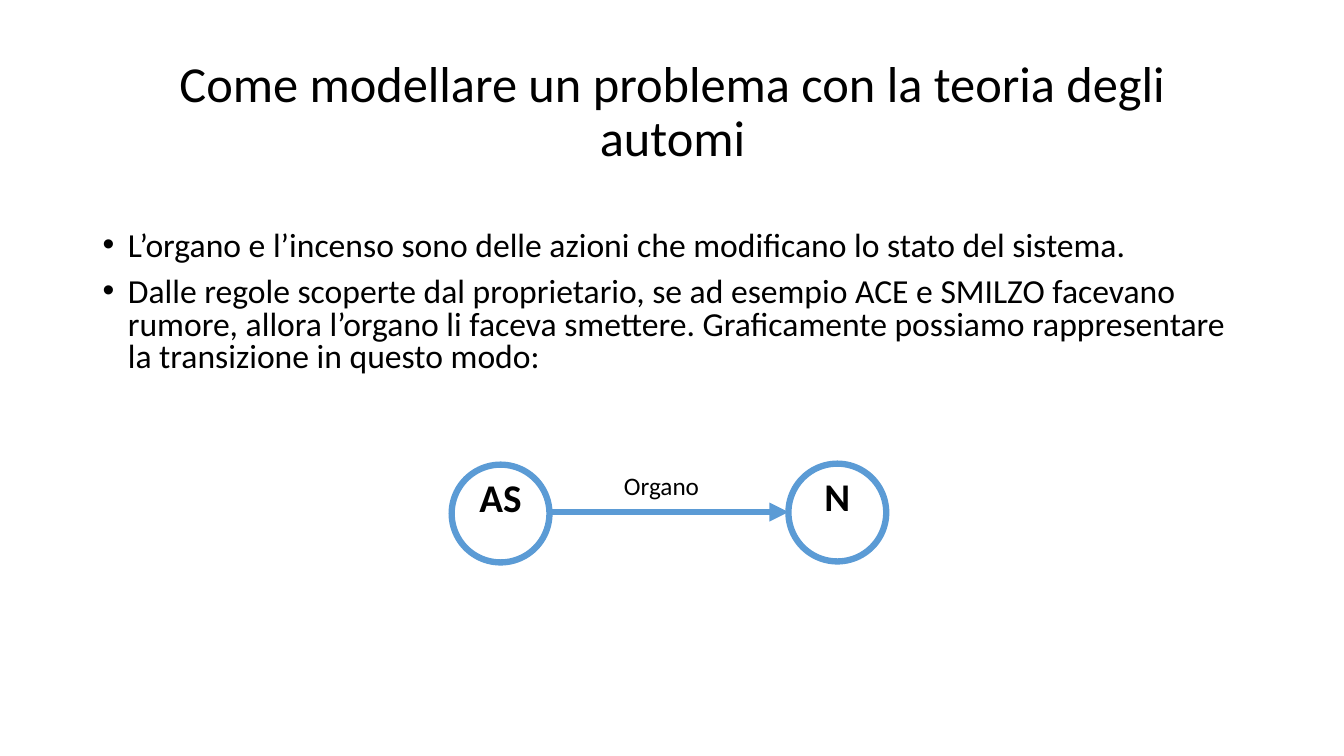
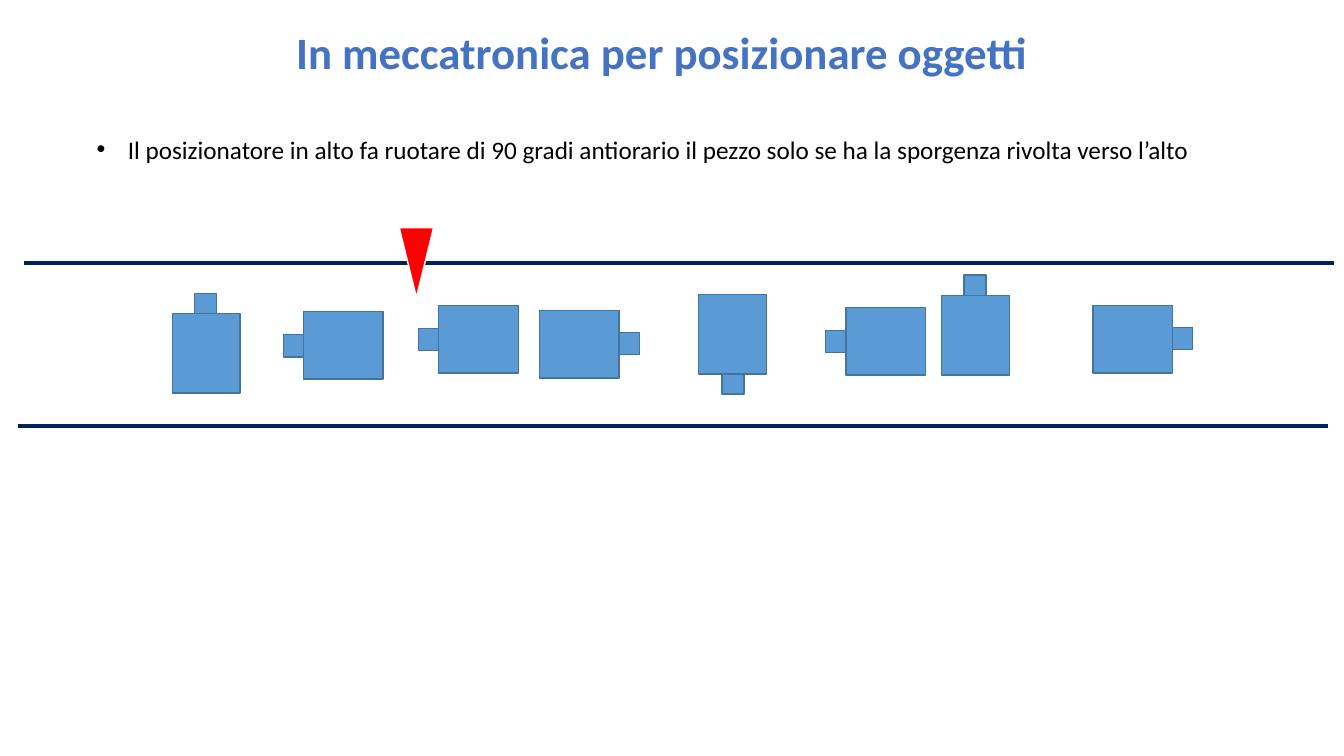
"""Build two slides on automata: a state transition and a part positioner."""
from dataclasses import dataclass

from lxml.etree import SubElement
from pptx import Presentation
from pptx.dml.color import RGBColor
from pptx.enum.shapes import MSO_CONNECTOR as Connector
from pptx.enum.shapes import MSO_SHAPE as Preset
from pptx.enum.text import MSO_ANCHOR as Anchor
from pptx.enum.text import PP_ALIGN as Align
from pptx.oxml.ns import qn
from pptx.shapes.autoshape import Shape
from pptx.shapes.connector import Connector as Line
from pptx.shapes.shapetree import GroupShapes, SlideShapes
from pptx.slide import Slide
from pptx.util import Emu, Pt

EMU_PER_PX = 9144
FONT = "Calibri"
BLACK = RGBColor(0, 0, 0)
WHITE = RGBColor(255, 255, 255)
RED = RGBColor(255, 0, 0)
BLUE = RGBColor(0x5B, 0x9B, 0xD5)
BLUE_EDGE = RGBColor(0x43, 0x73, 0x9E)
TITLE_BLUE = RGBColor(0x44, 0x72, 0xC4)
NAVY = RGBColor(0x00, 0x20, 0x60)

STATE_SIZE = 97
BODY_WIDTH, BODY_HEIGHT = 67, 79
KNOB_WIDTH, KNOB_HEIGHT = 22, 20
UP, RIGHT, DOWN, LEFT = 0, 90, 180, 270


@dataclass(frozen=True)
class Area:
    left: int
    top: int
    width: int
    height: int


@dataclass(frozen=True)
class State:
    name: str
    left: int
    top: int


@dataclass(frozen=True)
class Piece:
    center_x: int
    center_y: int
    turn: int


STATES = [State("AS", 448, 461), State("N", 782, 460)]
PIECES = [
    Piece(204, 340, UP),
    Piece(330, 342, LEFT),
    Piece(464, 336, LEFT),
    Piece(584, 341, RIGHT),
    Piece(726, 341, DOWN),
    Piece(868, 338, LEFT),
    Piece(967, 322, UP),
    Piece(1133, 336, RIGHT),
]


def px(length: int) -> Emu:
    """Turn px into EMU."""
    return Emu(length * EMU_PER_PX)


def place(area: Area) -> tuple[Emu, Emu, Emu, Emu]:
    """Give the four lengths of an area in EMU."""
    return px(area.left), px(area.top), px(area.width), px(area.height)


def write(box: Shape, *texts: str, size: int, color: RGBColor = BLACK,
          bold: bool = False, align: Align = Align.LEFT,
          anchor: Anchor = Anchor.TOP, wrap: bool = True,
          line_spacing: float = 1.0, space_before: int = 0,
          hanging: int = 0) -> None:
    """Fill a shape with formatted paragraphs, bulleted if hanging is set."""
    frame = box.text_frame
    frame.word_wrap = wrap
    frame.vertical_anchor = anchor
    for index, text in enumerate(texts):
        para = frame.add_paragraph() if index else frame.paragraphs[0]
        if hanging:
            properties = para._p.get_or_add_pPr()
            properties.set("marL", str(px(hanging)))
            properties.set("indent", str(px(-hanging)))
            SubElement(properties, qn("a:buFont")).set("typeface", "Arial")
            SubElement(properties, qn("a:buChar")).set("char", "•")
        para.alignment = align
        para.line_spacing = line_spacing
        para.space_before = Pt(space_before if index else 0)
        span = para.add_run()
        span.text = text
        span.font.name = FONT
        span.font.size = Pt(size)
        span.font.bold = bold
        span.font.color.rgb = color


def add_text(page: Slide, area: Area, *texts: str, **style) -> None:
    """Add a text box with the given format."""
    write(page.shapes.add_textbox(*place(area)), *texts, **style)


def add_title(page: Slide, area: Area, text: str, **style) -> None:
    """Add a centred slide title."""
    add_text(page, area, text, align=Align.CENTER, **style)


def add_preset(shapes: SlideShapes | GroupShapes, preset: Preset, area: Area,
               fill: RGBColor, edge: RGBColor, weight: float = 1) -> Shape:
    """Add a filled and outlined preset shape without shadow."""
    shape = shapes.add_shape(preset, *place(area))
    shape.shadow.inherit = False
    shape.fill.solid()
    shape.fill.fore_color.rgb = fill
    shape.line.color.rgb = edge
    shape.line.width = Pt(weight)
    return shape


def add_line(page: Slide, left: int, right: int, y: int,
             color: RGBColor, weight: float) -> Line:
    """Add a level line without shadow."""
    line = page.shapes.add_connector(
        Connector.STRAIGHT, px(left), px(y), px(right), px(y))
    line.line.color.rgb = color
    line.line.width = Pt(weight)
    SubElement(line._element.spPr, qn("a:effectLst"))
    return line


def add_state(page: Slide, state: State) -> None:
    """Add an automaton state as a named circle."""
    area = Area(state.left, state.top, STATE_SIZE, STATE_SIZE)
    circle = add_preset(page.shapes, Preset.OVAL, area, WHITE, BLUE, 4.5)
    frame = circle.text_frame
    frame.margin_left = frame.margin_right = 0
    frame.margin_top = frame.margin_bottom = 0
    write(circle, state.name, size=28, bold=True, align=Align.CENTER,
          line_spacing=0.9)


def add_piece(page: Slide, piece: Piece) -> None:
    """Add a piece with a knob, turned about its centre."""
    group = page.shapes.add_group_shape()
    top = piece.center_y - (BODY_HEIGHT + KNOB_HEIGHT) // 2
    body = Area(piece.center_x - BODY_WIDTH // 2, top + KNOB_HEIGHT,
                BODY_WIDTH, BODY_HEIGHT)
    knob = Area(piece.center_x - KNOB_WIDTH // 2, top, KNOB_WIDTH, KNOB_HEIGHT)
    for area in (body, knob):
        add_preset(group.shapes, Preset.RECTANGLE, area, BLUE, BLUE_EDGE)
    group.rotation = piece.turn


def build_transition(page: Slide) -> None:
    """Draw the slide with the transition between two states."""
    add_title(page, Area(92, 40, 1150, 145),
              "Come modellare un problema con la teoria degli automi",
              size=36, anchor=Anchor.MIDDLE, line_spacing=0.9)
    add_text(
        page, Area(92, 225, 1150, 164),
        "L’organo e l’incenso sono delle azioni che modificano lo stato del "
        "sistema.",
        "Dalle regole scoperte dal proprietario, se ad esempio ACE e SMILZO "
        "facevano rumore, allora l’organo li faceva smettere. Graficamente "
        "possiamo rappresentare la transizione in questo modo:",
        size=24, line_spacing=0.8, space_before=10, hanging=25)
    for state in STATES:
        add_state(page, state)
    start, end = STATES
    arrow = add_line(page, start.left + STATE_SIZE, end.left, 508, BLUE, 4.5)
    SubElement(arrow.line._get_or_add_ln(), qn("a:tailEnd")).set(
        "type", "triangle")
    add_text(page, Area(609, 462, 96, 40), "Organo", size=18)


def build_positioner(page: Slide) -> None:
    """Draw the slide with pieces moving past the positioner."""
    add_title(page, Area(280, 20, 753, 64),
              "In meccatronica per posizionare oggetti",
              size=32, color=TITLE_BLUE, bold=True, wrap=False)
    add_line(page, 24, 1323, 261, NAVY, 3)
    add_line(page, 18, 1317, 423, NAVY, 3)
    for piece in PIECES:
        add_piece(page, piece)
    positioner = add_preset(page.shapes, Preset.ISOSCELES_TRIANGLE,
                            Area(396, 226, 34, 69), RED, WHITE)
    positioner.rotation = DOWN
    add_text(
        page, Area(86, 128, 1126, 40),
        "Il posizionatore in alto fa ruotare di 90 gradi antiorario il pezzo "
        "solo se ha la sporgenza rivolta verso l’alto",
        size=18, hanging=31)


def main() -> None:
    """Build and save the deck."""
    deck = Presentation()
    deck.slide_width, deck.slide_height = px(1333), px(750)
    blank = deck.slide_layouts[6]
    for build in (build_transition, build_positioner):
        build(deck.slides.add_slide(blank))
    deck.save("out.pptx")


if __name__ == "__main__":
    main()
